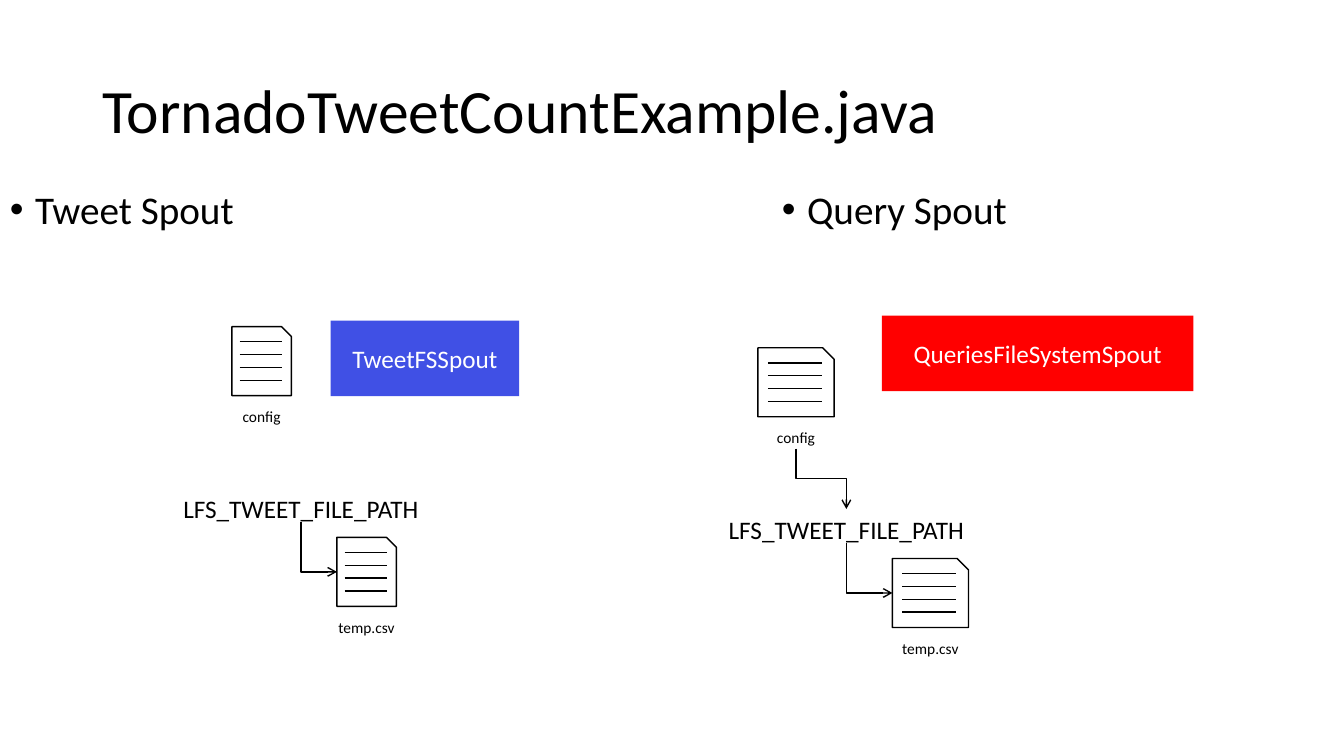
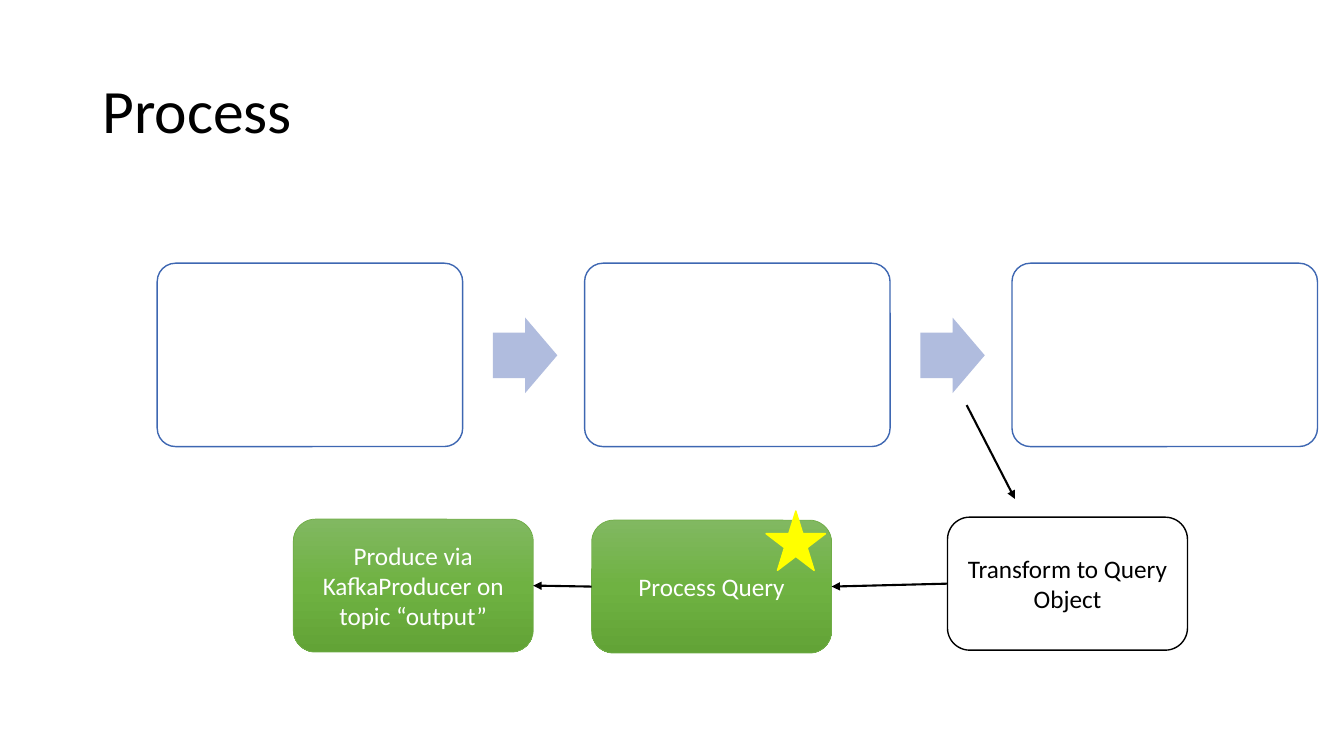
from copy import deepcopy

from pptx import Presentation
from pptx.dml.color import RGBColor
from pptx.enum.shapes import MSO_CONNECTOR as Conn, MSO_SHAPE as Shape
from pptx.enum.text import MSO_ANCHOR as Anchor, PP_ALIGN as Align
from pptx.oxml.ns import qn
from pptx.oxml.xmlchemy import OxmlElement
from pptx.util import Pt

BLACK = RGBColor(0x00, 0x00, 0x00)
WHITE = RGBColor(0xFF, 0xFF, 0xFF)
RED = RGBColor(0xFF, 0x00, 0x00)
YELLOW = RGBColor(0xFF, 0xFF, 0x00)
INDIGO = RGBColor(0x40, 0x50, 0xE5)
STEP_LINE = RGBColor(0x3E, 0x67, 0xB2)
STEP_ARROW = RGBColor(0xB0, 0xBC, 0xDE)
GREEN_LINE = RGBColor(0x70, 0xAD, 0x47)
GREENS = (RGBColor(0x81, 0xB8, 0x61), RGBColor(0x6F, 0xB2, 0x42),
          RGBColor(0x62, 0xA3, 0x36))


class Deck:
    """Holds the shared style and the current slide; lengths are points."""

    FONT = "Calibri"
    DOC_W, DOC_H = 42.5, 49.3

    def __init__(self):
        self.prs = Presentation()
        self.prs.slide_width, self.prs.slide_height = Pt(960), Pt(540)
        self.shapes = None

    # Slide and text
    def slide(self, title):
        self.shapes = self.prs.slides.add_slide(self.prs.slide_layouts[6]).shapes
        tf = self.text(title, 66, 28.8, 828, 104.4, 44)
        tf.vertical_anchor = Anchor.MIDDLE
        tf.paragraphs[0].line_spacing = 0.9

    def set_text(self, tf, text, size, color=BLACK, align=Align.LEFT):
        tf.text = text
        tf.word_wrap = True
        p = tf.paragraphs[0]
        p.alignment = align
        font = p.runs[0].font
        font.name, font.size, font.color.rgb = self.FONT, Pt(size), color

    def text(self, text, x, y, w, h, size):
        tf = self.shapes.add_textbox(Pt(x), Pt(y), Pt(w), Pt(h)).text_frame
        self.set_text(tf, text, size)
        return tf

    def label(self, text, center, y, w, h, size):
        tf = self.text(text, center - w / 2, y, w, h, size)
        tf.margin_left = tf.margin_right = 0
        tf.paragraphs[0].alignment = Align.CENTER

    def bullet(self, text, x):
        p = self.text(text, x, 132.5, 407, 65, 28).paragraphs[0]
        p.line_spacing, p.space_before = 0.9, Pt(10)
        pPr = p._p.get_or_add_pPr()
        pPr.set("marL", str(Pt(18)))
        pPr.set("indent", str(-Pt(18)))
        for tag, key, value in (("a:buFont", "typeface", "Arial"),
                                ("a:buChar", "char", "•")):
            node = OxmlElement(tag)
            node.set(key, value)
            pPr.append(node)

    # Shapes
    def shape(self, kind, x, y, w, h, fill=WHITE, line=None, width=1, adj=()):
        s = self.shapes.add_shape(kind, Pt(x), Pt(y), Pt(w), Pt(h))
        s.shadow.inherit = False
        s.fill.solid()
        s.fill.fore_color.rgb = fill
        if line is None:
            s.line.fill.background()
        else:
            s.line.color.rgb, s.line.width = line, Pt(width)
        for i, value in enumerate(adj):
            s.adjustments[i] = value
        return s

    def box(self, text, x, y, w, h, fill):
        s = self.shape(Shape.RECTANGLE, x, y, w, h, fill)
        self.set_text(s.text_frame, text, 18, WHITE, Align.CENTER)

    def task(self, text, x, y, green=True):
        line, width, color = (GREEN_LINE, 0.5, WHITE) if green else (BLACK, 1, BLACK)
        s = self.shape(Shape.ROUNDED_RECTANGLE, x, y, 171.4, 95, WHITE, line, width)
        if green:
            s.fill.gradient()
            s.fill.gradient_angle = 270
            stops = s._element.spPr.find(".//" + qn("a:gsLst"))
            stops.insert(1, deepcopy(stops[0]))
            for i, stop in enumerate(s.fill.gradient_stops):
                stop.position, stop.color.rgb = i / 2, GREENS[i]
        self.set_text(s.text_frame, text, 18, color, Align.CENTER)
        return s

    # Lines and arrows
    def line(self, x1, y1, x2, y2, width=1, head=None, kind=Conn.STRAIGHT):
        c = self.shapes.add_connector(kind, Pt(x1), Pt(y1), Pt(x2), Pt(y2))
        c.line.color.rgb, c.line.width = BLACK, Pt(width)
        spPr = c._element.spPr
        spPr.append(OxmlElement("a:effectLst"))
        if head:
            end = OxmlElement("a:tailEnd")
            end.set("type", head)
            spPr.find(qn("a:ln")).append(end)
        return c

    def link(self, start, end):
        c = self.line(0, 0, 0, 0, 1.5, "triangle")
        c.begin_connect(start, 1)
        c.end_connect(end, 3)

    def elbow(self, x1, y1, x2, y2, preset):
        """Arrow that leaves downwards: a sideways connector turned by 270°."""
        cx, cy = (x1 + x2) / 2, (y1 + y2) / 2
        dx, dy = (x2 - x1) / 2, (y2 - y1) / 2
        c = self.line(cx + dy, cy - dx, cx - dy, cy + dx, 1, "arrow", Conn.ELBOW)
        spPr = c._element.spPr
        spPr.find(qn("a:xfrm")).set("rot", str(270 * 60000))
        spPr.find(qn("a:prstGeom")).set("prst", preset)

    # Composite figures
    def document(self, name, x, y, stretch):
        w = self.DOC_W * stretch
        self.shape(Shape.SNIP_1_RECTANGLE, x, y, w, self.DOC_H, line=BLACK)
        for i in range(4):
            row = y + 10.8 + 9.2 * i
            self.line(x + 0.13 * w, row, x + 0.84 * w, row)
        self.label(name, x + w / 2, y + 54, 61 * stretch, 18, 11)

    def file_source(self, x, y, stretch, from_config=False):
        """Config document, file variable and the file it points to."""
        center, label_y = x + 49.3 * stretch, y + 115.2
        csv_x, csv_y = x + 75 * stretch, y + 150.5
        self.label("LFS_TWEET_FILE_PATH", center, label_y, 187 * stretch, 24.5, 18)
        self.document("temp.csv", csv_x, csv_y, stretch)
        self.document("config", x, y, stretch)
        self.elbow(center, label_y + 24.5, csv_x, csv_y + self.DOC_H / 2,
                   "bentConnector2")
        if from_config:
            self.elbow(x + self.DOC_W * stretch / 2, y + 72, center, label_y,
                       "bentConnector3")


def spouts(d):
    d.slide("TornadoTweetCountExample.java")
    d.bullet("Tweet Spout", 0)
    d.bullet("Query Spout", 551.5)
    d.file_source(165.6, 233.3, 1)
    d.box("TweetFSSpout", 236.2, 229, 134.6, 54, INDIGO)
    d.file_source(541.4, 248.4, 1.28, from_config=True)
    d.box("QueriesFileSystemSpout", 630, 225.4, 222.5, 54, RED)


def process(d):
    d.slide("Process")
    # Row of steps with arrows between them
    pitch = 305.3
    for i in range(3):
        x = 112.3 + pitch * i
        d.shape(Shape.ROUNDED_RECTANGLE, x, 188, 218.2, 131, line=STEP_LINE, adj=[0.1])
        if i < 2:
            d.shape(Shape.RIGHT_ARROW, x + 239.8, 226.8, 46, 54, STEP_ARROW,
                    adj=[0.6, 0.5])
    # Query handling, from right to left
    transform = d.task("Transform to Query Object", 676.8, 369.4, green=False)
    d.line(690.5, 289.4, 725, 356.4, 1.5, "triangle")
    query = d.task("Process Query", 422.6, 371.5)
    output = d.task("Produce via KafkaProducer on topic “output”", 209.5, 370.8)
    d.link(transform, query)
    d.link(query, output)
    d.shape(Shape.STAR_5_POINT, 547.2, 365, 42.5, 42.5, YELLOW, YELLOW)


def main():
    d = Deck()
    spouts(d)
    process(d)
    d.prs.save("out.pptx")


if __name__ == "__main__":
    main()
